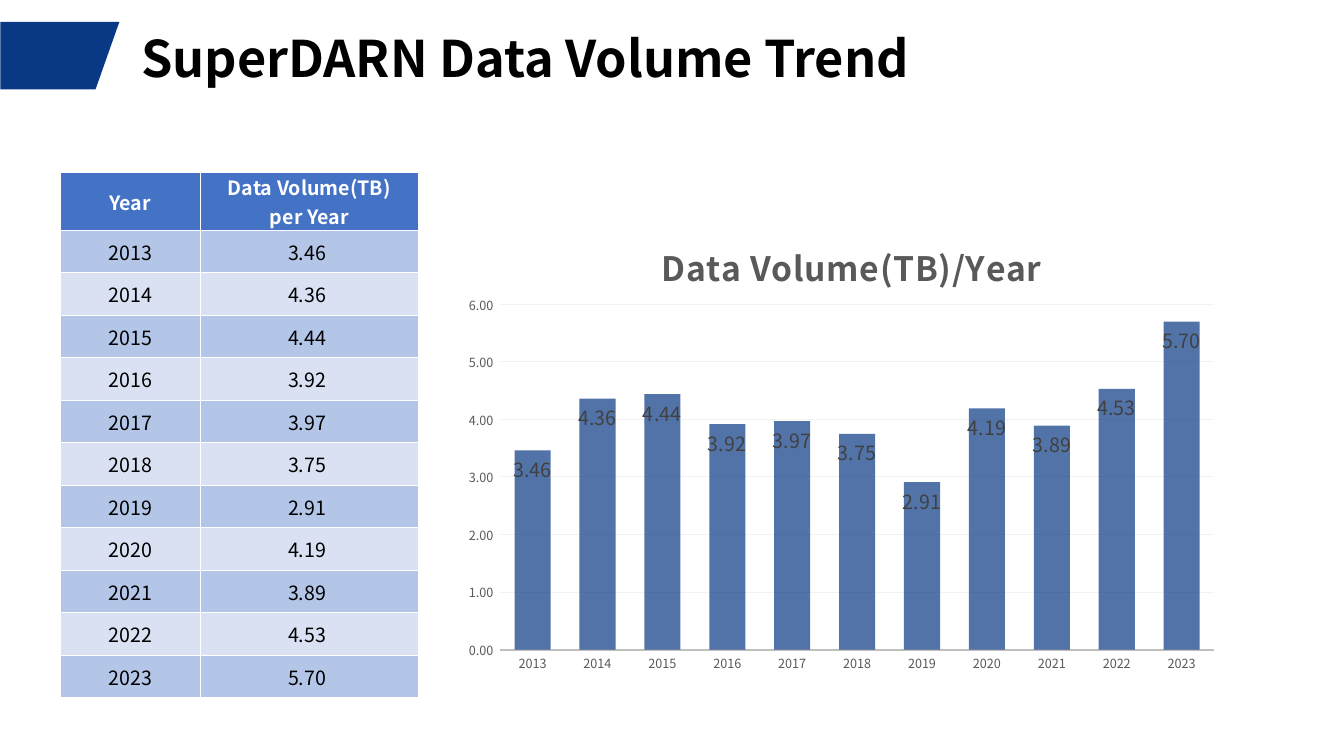
import dataclasses

import lxml.etree
import pptx
import pptx.chart.data
import pptx.dml.color
import pptx.enum.chart
import pptx.enum.shapes
import pptx.enum.text
import pptx.oxml
import pptx.oxml.ns
import pptx.util

Cm = pptx.util.Cm
Pt = pptx.util.Pt
qn = pptx.oxml.ns.qn

TITLE = "SuperDARN Data Volume Trend"
HEAD = ("Year", "Data Volume(TB)\nper Year")
CHART = "Data Volume(TB)/Year"
DATA = [
    ("2013", 3.46), ("2014", 4.36), ("2015", 4.44), ("2016", 3.92),
    ("2017", 3.97), ("2018", 3.75), ("2019", 2.91), ("2020", 4.19),
    ("2021", 3.89), ("2022", 4.53), ("2023", 5.70),
]


@dataclasses.dataclass
class Theme:
    face: str = "Noto Sans CJK SC"
    navy: str = "093884"
    head: str = "4472C4"
    bands: tuple = ("B4C6E7", "D9E1F2")
    black: str = "000000"
    white: str = "FFFFFF"
    gray: str = "595959"
    label: str = "404040"
    axis: str = "BFBFBF"
    grid: str = "F2F2F2"
    title: int = 36
    chart: int = 24
    body: int = 14
    tick: int = 9


theme = Theme()


def rgb(code):
    return pptx.dml.color.RGBColor.from_string(code)


def style(font, size, color, bold=False):
    font.name = theme.face
    font.size = Pt(size)
    font.color.rgb = rgb(color)
    font.bold = bold


def paint(fill, color):
    fill.solid()
    fill.fore_color.rgb = rgb(color)


def edge(cell):
    props = cell._tc.get_or_add_tcPr()
    for at, side in enumerate(("lnL", "lnR", "lnT", "lnB")):
        line = pptx.oxml.parse_xml(
            f'<a:{side} {pptx.oxml.ns.nsdecls("a")} w="{Pt(0.5)}"><a:solidFill>'
            f'<a:srgbClr val="{theme.white}"/></a:solidFill></a:{side}>')
        props.insert(at, line)


def place(node, **spots):
    outer = node.find(qn("c:layout"))
    if outer is None:
        outer = lxml.etree.Element(qn("c:layout"))
        first = node.find(qn("c:tx"))
        if first is None:
            node.insert(0, outer)
        else:
            first.addnext(outer)
    inner = lxml.etree.SubElement(outer, qn("c:manualLayout"))
    for key, val in spots.items():
        lxml.etree.SubElement(inner, qn("c:" + key)).set("val", str(val))


def add_title(slide):
    box = slide.shapes.title
    box.left, box.top, box.width, box.height = Cm(3.3), Cm(0.86), Cm(22.99), Cm(1.37)
    frame = box.text_frame
    frame.text = TITLE
    frame.auto_size = pptx.enum.text.MSO_AUTO_SIZE.NONE
    frame.vertical_anchor = pptx.enum.text.MSO_ANCHOR.MIDDLE
    para = frame.paragraphs[0]
    para.alignment = pptx.enum.text.PP_ALIGN.LEFT
    para.line_spacing = 0.9
    style(para.runs[0].font, theme.title, theme.black, True)


def add_flag(slide):
    flag = slide.shapes.add_shape(
        pptx.enum.shapes.MSO_SHAPE.FLOWCHART_MANUAL_INPUT,
        Cm(0.66), Cm(-0.1), Cm(1.7), Cm(3))
    flag.rotation = 90
    flag.element.spPr.find(qn("a:xfrm")).set("flipH", "1")
    flag.shadow.inherit = False
    paint(flag.fill, theme.navy)
    flag.line.fill.background()


def add_table(slide):
    rows = [HEAD] + [(year, f"{size:.2f} ") for year, size in DATA]
    wide = (3.53, 5.49)
    tall = [1.3] + [1.07] * len(DATA)
    table = slide.shapes.add_table(
        len(rows), len(wide), Cm(1.52), Cm(4.34), Cm(sum(wide)), Cm(sum(tall))).table
    for col, size in zip(table.columns, wide):
        col.width = Cm(size)
    for r, row in enumerate(rows):
        table.rows[r].height = Cm(tall[r])
        top = r == 0
        for c, text in enumerate(row):
            cell = table.cell(r, c)
            cell.margin_left = cell.margin_right = cell.margin_top = Cm(0.02)
            cell.margin_bottom = 0
            cell.vertical_anchor = pptx.enum.text.MSO_ANCHOR.MIDDLE
            paint(cell.fill, theme.head if top else theme.bands[(r - 1) % 2])
            edge(cell)
            cell.text_frame.text = text
            for para in cell.text_frame.paragraphs:
                para.alignment = pptx.enum.text.PP_ALIGN.CENTER
                style(para.runs[0].font, theme.body,
                      theme.white if top else theme.black, top)


def add_chart(slide):
    data = pptx.chart.data.CategoryChartData(number_format="0.00")
    data.categories = [year for year, size in DATA]
    data.add_series("Series 1", [size for year, size in DATA])
    chart = slide.shapes.add_chart(
        pptx.enum.chart.XL_CHART_TYPE.COLUMN_CLUSTERED,
        Cm(11.43), Cm(5.13), Cm(19.56), Cm(12.09), data).chart
    style(chart.font, 10, theme.black)
    chart.has_legend = False

    chart.has_title = True
    frame = chart.chart_title.text_frame
    frame.text = CHART
    run = frame.paragraphs[0].runs[0]
    style(run.font, theme.chart, theme.gray, True)
    run.font._element.set("spc", "50")
    place(chart.chart_title._element, xMode="edge", yMode="edge", x=0.26, y=0.06)

    for axis in (chart.category_axis, chart.value_axis):
        style(axis.tick_labels.font, theme.tick, theme.gray)
        axis.major_tick_mark = pptx.enum.chart.XL_TICK_MARK.NONE
        axis.minor_tick_mark = pptx.enum.chart.XL_TICK_MARK.NONE
    line = chart.category_axis.format.line
    line.color.rgb = rgb(theme.axis)
    line.width = Pt(1.25)
    value = chart.value_axis
    value.minimum_scale, value.maximum_scale, value.major_unit = 0, 6, 1
    value.format.line.fill.background()
    value.tick_labels.number_format = "0.00_ "
    value.tick_labels.number_format_is_linked = False
    grid = value.major_gridlines.format.line
    grid.color.rgb = rgb(theme.grid)
    grid.width = Pt(0.75)

    plot = chart.plots[0]
    plot.gap_width, plot.overlap = 80, 25
    plot.vary_by_categories = False
    bars = plot.series[0]
    paint(bars.format.fill, theme.navy)
    tint = bars._element.find(qn("c:spPr")).find(".//" + qn("a:srgbClr"))
    lxml.etree.SubElement(tint, qn("a:alpha")).set("val", "70000")
    marks = bars.data_labels
    marks.show_value = True
    marks.number_format = "0.00"
    marks.number_format_is_linked = False
    marks.position = pptx.enum.chart.XL_LABEL_POSITION.INSIDE_END
    style(marks.font, theme.body, theme.label)
    area = chart._chartSpace.find(".//" + qn("c:plotArea"))
    place(area, layoutTarget="inner", xMode="edge", yMode="edge",
          x=0.06, y=0.21, w=0.92, h=0.72)


def main():
    deck = pptx.Presentation()
    deck.slide_width, deck.slide_height = Cm(33.87), Cm(19.05)
    slide = deck.slides.add_slide(deck.slide_layouts[5])
    add_flag(slide)
    add_table(slide)
    add_chart(slide)
    add_title(slide)
    deck.save("out.pptx")


if __name__ == "__main__":
    main()
